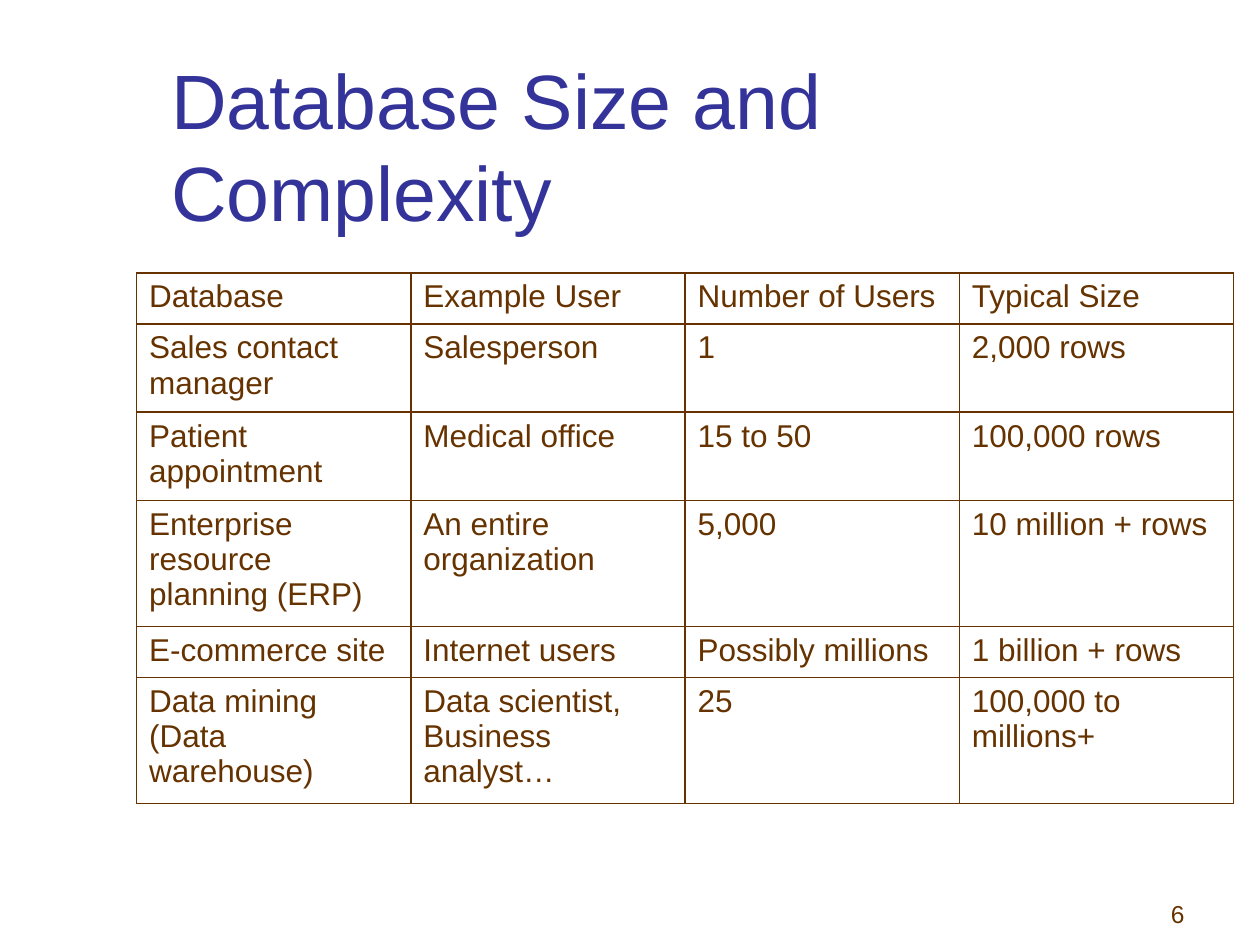
import pptx
import pptx.dml.color
import pptx.enum.text
import pptx.oxml
import pptx.oxml.ns
import pptx.util

Pt = pptx.util.Pt
Align = pptx.enum.text.PP_ALIGN
Anchor = pptx.enum.text.MSO_ANCHOR

NAVY = pptx.dml.color.RGBColor(0x33, 0x33, 0x99)
BROWN = pptx.dml.color.RGBColor(0x66, 0x33, 0x00)
FONT = "Arial"

COLUMN_WIDTH = 156.75
ONE_LINE, TWO_LINES, THREE_LINES = 29.1, 50.5, 72

DATABASES = [
    (ONE_LINE, ["Database", "Example User", "Number of Users", "Typical Size"]),
    (TWO_LINES, ["Sales contact manager", "Salesperson", "1", "2,000 rows"]),
    (TWO_LINES, ["Patient appointment", "Medical office", "15 to 50", "100,000 rows"]),
    (THREE_LINES, ["Enterprise resource planning (ERP)", "An entire organization",
                   "5,000", "10 million + rows"]),
    (ONE_LINE, ["E-commerce site", "Internet users", "Possibly millions",
                "1 billion + rows"]),
    (THREE_LINES, ["Data mining (Data warehouse)", "Data scientist,\nBusiness analyst…",
                   "25", "100,000 to millions+"]),
]


class SlideBuilder:
    """Holds the current slide and its style."""

    def __init__(self, slide, font=FONT, border_width=1):
        """Keep the slide, the font and the table border width."""
        self.slide = slide
        self.font = font
        self.border_width = border_width

    def fill_text(self, frame, text, size, color, align=Align.LEFT):
        """Fill a text frame and format every paragraph."""
        frame.text = text
        for paragraph in frame.paragraphs:
            paragraph.alignment = align
            formats = {"name": self.font, "size": Pt(size), "bold": False}
            for name, value in formats.items():
                setattr(paragraph.font, name, value)
            paragraph.font.color.rgb = color

    def text(self, text, box, size, color, align=Align.LEFT):
        """Add a bottom-anchored text box."""
        frame = self.slide.shapes.add_textbox(*map(Pt, box)).text_frame
        for name, value in {"word_wrap": True, "vertical_anchor": Anchor.BOTTOM}.items():
            setattr(frame, name, value)
        self.fill_text(frame, text, size, color, align)

    def border(self, cell, color):
        """Draw all four borders of a cell."""
        properties = cell._tc.get_or_add_tcPr()
        for position, side in enumerate("LRTB"):
            line = pptx.oxml.parse_xml(
                f'<a:ln{side} {pptx.oxml.ns.nsdecls("a")} w="{Pt(self.border_width)}">'
                f'<a:solidFill><a:srgbClr val="{color}"/></a:solidFill></a:ln{side}>')
            properties.insert(position, line)

    def table(self, rows, left, top, column_width, size, color):
        """Add a bordered table from (height, texts) rows."""
        column_count = len(rows[0][1])
        box = (left, top, column_width * column_count, sum(height for height, _ in rows))
        table = self.slide.shapes.add_table(len(rows), column_count, *map(Pt, box)).table
        for name in ("first_row", "horz_banding"):
            setattr(table, name, False)
        for column in table.columns:
            column.width = Pt(column_width)
        for row, (height, texts) in zip(table.rows, rows):
            row.height = Pt(height)
            for cell, text in zip(row.cells, texts):
                self.fill_text(cell.text_frame, text, size, color)
                cell.fill.background()
                self.border(cell, color)


def main():
    """Build and save the slide."""
    deck = pptx.Presentation()
    deck.slide_width, deck.slide_height = Pt(720), Pt(540)
    builder = SlideBuilder(deck.slides.add_slide(deck.slide_layouts[6]))
    builder.text("Database Size and Complexity", (90.7, 49, 613.4, 90), 44, NAVY)
    builder.table(DATABASES, 78, 156, COLUMN_WIDTH, 18, BROWN)
    builder.text("6", (534, 498, 150, 36), 14, BROWN, Align.RIGHT)
    deck.save("out.pptx")


main()
